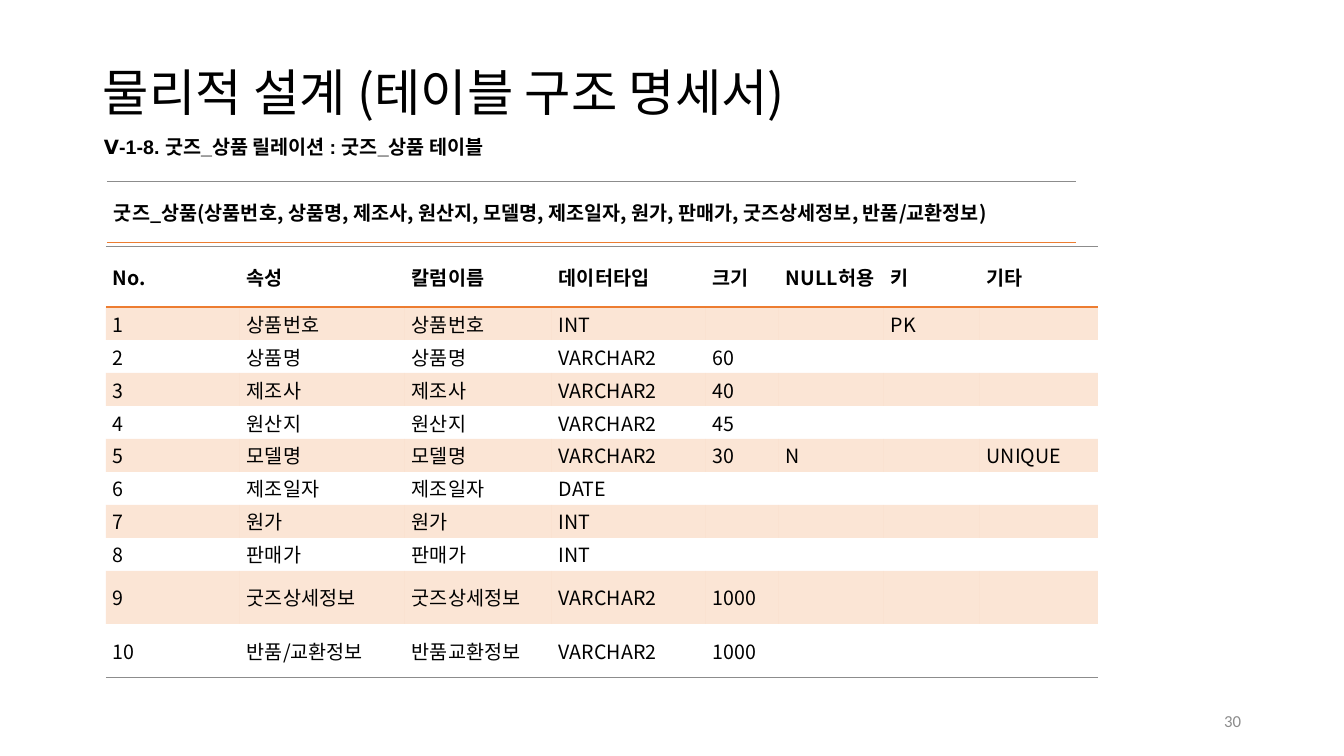
from lxml import etree
from pptx import Presentation, util as u
from pptx.dml.color import RGBColor
from pptx.enum import text
from pptx.oxml.ns import qn

PX = 9071.43
BLACK = RGBColor(0x00, 0x00, 0x00)
GREY = RGBColor(0x8C, 0x8C, 0x8C)
ORANGE = RGBColor(0xED, 0x7D, 0x31)
KOREAN = "Noto Sans CJK KR"
PLAIN = "{2D5ABB26-0587-4C30-8999-92F81FD0307C}"
LEFT, RIGHT, JUST = (text.PP_ALIGN.LEFT, text.PP_ALIGN.RIGHT,
                     text.PP_ALIGN.JUSTIFY)
TOP, MIDDLE = text.MSO_ANCHOR.TOP, text.MSO_ANCHOR.MIDDLE

HEAD = ["No.", "속성", "칼럼이름", "데이터타입", "크기", "NULL허용", "키", "기타"]
FIELDS = [
    ["상품번호", "상품번호", "INT", "", "", "PK", ""],
    ["상품명", "상품명", "VARCHAR2", "60", "", "", ""],
    ["제조사", "제조사", "VARCHAR2", "40", "", "", ""],
    ["원산지", "원산지", "VARCHAR2", "45", "", "", ""],
    ["모델명", "모델명", "VARCHAR2", "30", "N", "", "UNIQUE"],
    ["제조일자", "제조일자", "DATE", "", "", "", ""],
    ["원가", "원가", "INT", "", "", "", ""],
    ["판매가", "판매가", "INT", "", "", "", ""],
    ["굿즈상세정보", "굿즈상세정보", "VARCHAR2", "1000", "", "", ""],
    ["반품/교환정보", "반품교환정보", "VARCHAR2", "1000", "", "", ""],
]


def emu(*sizes):
    return [u.Emu(round(size * PX)) for size in sizes]


class Page:
    def __init__(self, deck):
        self.slide = deck.slides.add_slide(deck.slide_layouts[6])

    def style(self, para, size, font, color, bold, align):
        para.alignment = align
        for run in para.runs:
            run.font.size = u.Pt(size)
            run.font.name = font
            run.font.bold = bold
            run.font.color.rgb = color
            east = etree.SubElement(run.font._element, qn("a:ea"))
            east.set("typeface", KOREAN)

    def label(self, box, words, size, font, color=BLACK, bold=False,
              align=LEFT, anchor=MIDDLE, space=1.0):
        frame = self.slide.shapes.add_textbox(*emu(*box)).text_frame
        frame.word_wrap = True
        frame.vertical_anchor = anchor
        frame.text = words
        para = frame.paragraphs[0]
        para.line_spacing = space
        self.style(para, size, font, color, bold, align)

    def edge(self, cell, side, color, width):
        """Draw one border; call before the cell is filled."""
        line = etree.SubElement(cell._tc.get_or_add_tcPr(), qn("a:" + side),
                                w=str(u.Pt(width)))
        fill = etree.SubElement(line, qn("a:solidFill"))
        etree.SubElement(fill, qn("a:srgbClr"), val=str(color))

    def tint(self, cell):
        """Fill a cell with see-through orange."""
        cell.fill.solid()
        cell.fill.fore_color.rgb = ORANGE
        tone = cell._tc.tcPr.find(qn("a:solidFill")).find(qn("a:srgbClr"))
        etree.SubElement(tone, qn("a:alpha"), val="20000")

    def cell(self, cell, words, bold, align):
        cell.margin_left, cell.margin_right = emu(7, 7)
        cell.margin_top, cell.margin_bottom = emu(2, 2)
        cell.vertical_anchor = MIDDLE
        cell.text_frame.text = words
        para = cell.text_frame.paragraphs[0]
        self.style(para, 14, KOREAN, BLACK, bold, align)
        if not words:
            etree.SubElement(para._p, qn("a:endParaRPr"), sz="1400")

    def table(self, left, top, cols, rows, data, align=JUST, rule=1):
        """Add a table with a ruled head row and tinted odd body rows."""
        box = emu(left, top, sum(cols), sum(rows))
        grid = self.slide.shapes.add_table(len(rows), len(cols), *box).table
        grid._tbl.tblPr.find(qn("a:tableStyleId")).text = PLAIN
        grid.horz_banding = False
        for col, wide in zip(grid.columns, emu(*cols)):
            col.width = wide
        for row, high in zip(grid.rows, emu(*rows)):
            row.height = high
        for r, line in enumerate(data):
            for c, words in enumerate(line):
                cell = grid.cell(r, c)
                self.cell(cell, words, r == 0, align)
                if r == 0:
                    self.edge(cell, "lnT", GREY, 0.75)
                    self.edge(cell, "lnB", ORANGE, rule)
                elif r == len(data) - 1:
                    self.edge(cell, "lnB", GREY, 0.75)
                if r % 2:
                    self.tint(cell)
                else:
                    cell.fill.background()


def main():
    deck = Presentation()
    deck.slide_width, deck.slide_height = emu(1344, 756)
    page = Page(deck)
    page.label((93, 23, 1159, 145), "물리적 설계 (테이블 구조 명세서)", 36, KOREAN,
               space=0.9)
    page.table(107, 181, [969], [61],
               [["굿즈_상품(상품번호, 상품명, 제조사, 원산지, 모델명, 제조일자, 원가, "
                 "판매가, 굿즈상세정보, 반품/교환정보)"]], LEFT, 0.75)
    body = [[str(n), *field] for n, field in enumerate(FIELDS, 1)]
    page.table(106, 246, [134, 165, 147, 154, 73, 105, 96, 118],
               [61] + [33] * 8 + [53, 54], [HEAD] + body)
    page.label((94, 130, 440, 34), "Ⅴ-1-8. 굿즈_상품 릴레이션 : 굿즈_상품 테이블", 14,
               "Arial", bold=True, align=JUST, anchor=TOP)
    page.label((949, 701, 302, 40), "30", 12, "Calibri", GREY, align=RIGHT)
    deck.save("out.pptx")


if __name__ == "__main__":
    main()
